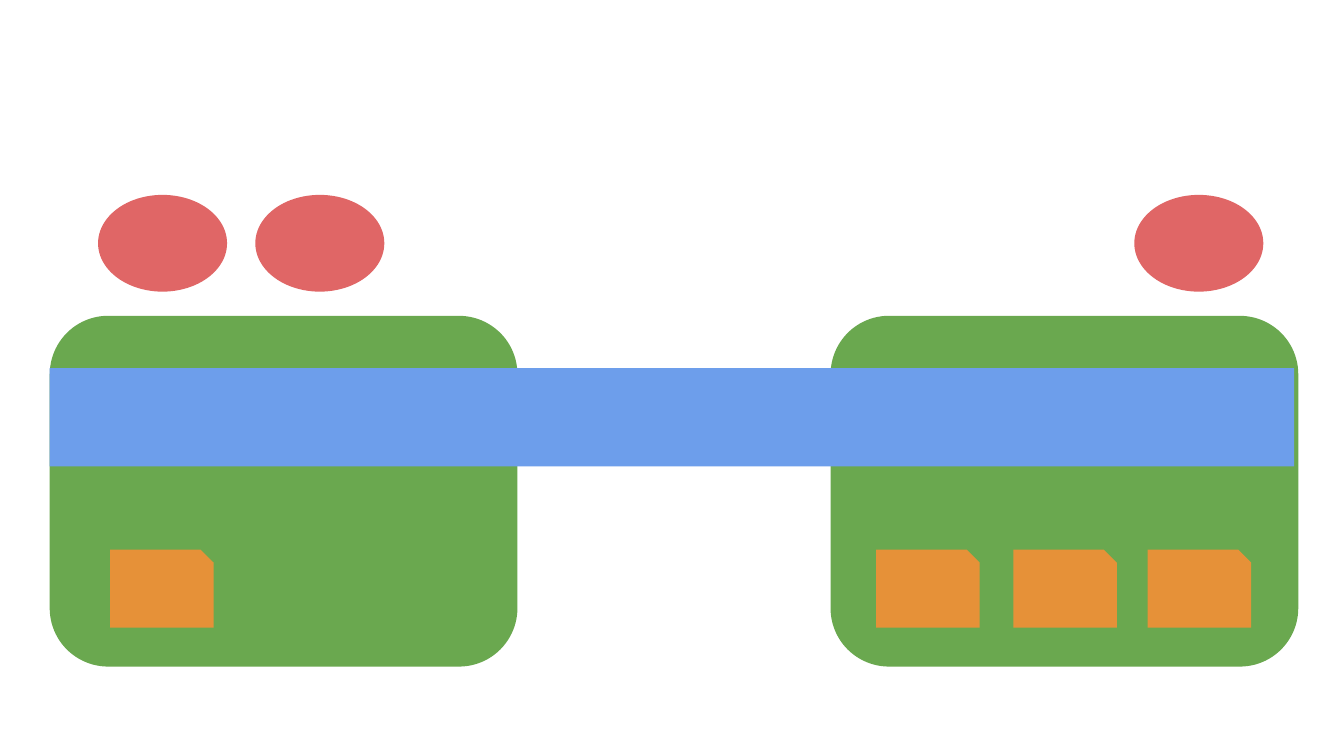
import pptx
import pptx.dml.color
import pptx.enum.shapes
import pptx.util

Inches = pptx.util.Inches
Shapes = pptx.enum.shapes.MSO_SHAPE


def color(hex_string):
    return pptx.dml.color.RGBColor.from_string(hex_string)


class Diagram:
    green = "6AA84F"
    blue = "6D9EEB"
    red = "E06666"
    orange = "E69138"

    def __init__(self, slide):
        self.slide = slide

    def add_shape(self, kind, left, top, width, height, fill):
        shape = self.slide.shapes.add_shape(
            kind, Inches(left), Inches(top), Inches(width), Inches(height)
        )
        shape.shadow.inherit = False
        shape.fill.solid()
        shape.fill.fore_color.rgb = color(fill)
        shape.line.fill.background()

    def add_panel(self, left):
        self.add_shape(Shapes.ROUNDED_RECTANGLE, left, 2.35, 3.48, 2.61, self.green)

    def add_bar(self, left):
        self.add_shape(Shapes.RECTANGLE, left, 2.74, 9.26, 0.73, self.blue)

    def add_ellipse(self, left):
        self.add_shape(Shapes.OVAL, left, 1.45, 0.96, 0.72, self.red)

    def add_card(self, left):
        self.add_shape(Shapes.SNIP_1_RECTANGLE, left, 4.09, 0.77, 0.58, self.orange)


def main():
    presentation = pptx.Presentation()
    presentation.slide_width = Inches(10)
    presentation.slide_height = Inches(10 * 9 / 16)
    diagram = Diagram(presentation.slides.add_slide(presentation.slide_layouts[6]))

    for left in (6.18, 0.37):
        diagram.add_panel(left)
    diagram.add_bar(0.37)
    for left in (0.73, 1.9, 8.44):
        diagram.add_ellipse(left)
    for left in (0.82, 8.54, 7.54, 6.52):
        diagram.add_card(left)

    presentation.save("out.pptx")


if __name__ == "__main__":
    main()
